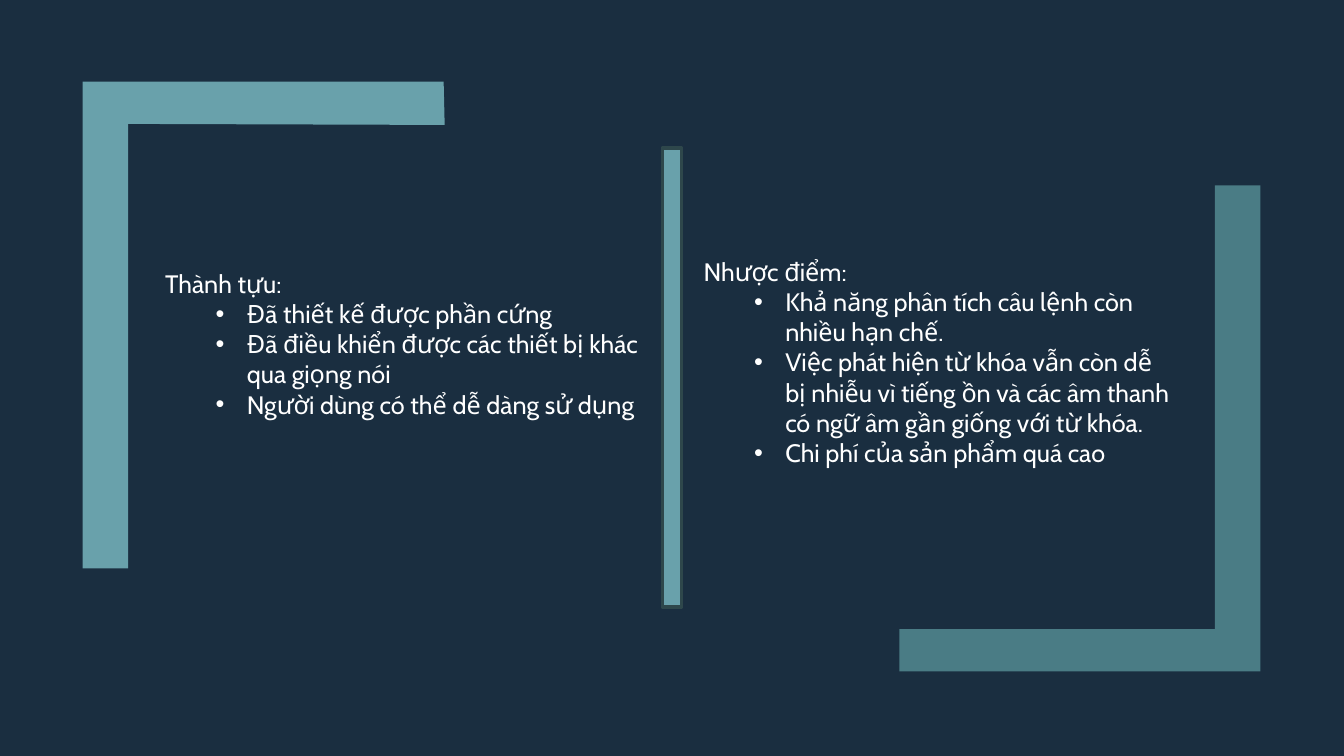
"""Build a slide that sets achievements beside drawbacks between two corner brackets."""
from dataclasses import dataclass

from lxml import etree
from pptx import Presentation
from pptx import util as u
from pptx.dml.color import RGBColor
from pptx.enum import shapes, text
from pptx.oxml.ns import qn

COLORS = {
    "navy": "1A2E40",
    "light_teal": "69A1AB",
    "dark_teal": "4A7C85",
    "outline": "2E474B",
    "white": "FFFFFF",
}
FONT_FORMAT = {"name": "Cabin", "size": u.Pt(18)}
FRAME_FORMAT = {
    "word_wrap": True,
    "auto_size": text.MSO_AUTO_SIZE.SHAPE_TO_FIT_TEXT,
    "vertical_anchor": text.MSO_ANCHOR.TOP,
}
BULLET_FORMAT = {"marL": u.Inches(0.81), "indent": u.Inches(-0.31)}


@dataclass(frozen=True)
class Bracket:
    """An L-shaped corner given by its outline in inches."""
    points: tuple[tuple[float, float], ...]
    color: str


@dataclass(frozen=True)
class Column:
    """A heading with bullet points."""
    left: float
    top: float
    height: float
    heading: str
    points: tuple[str, ...]


BRACKETS = (
    Bracket(((12.05, 1.84), (12.5, 1.84), (12.5, 6.66), (8.92, 6.66),
             (8.92, 6.24), (12.05, 6.24)), "dark_teal"),
    Bracket(((1.27, 5.64), (0.82, 5.64), (0.82, 0.81), (4.4, 0.81),
             (4.41, 1.24), (1.27, 1.23)), "light_teal"),
)
COLUMNS = (
    Column(1.54, 2.61, 1.92, "Thành tựu:", (
        "Đã thiết kế được phần cứng",
        "Đã điều khiển được các thiết bị khác qua giọng nói",
        "Người dùng có thể dễ dàng sử dụng",
    )),
    Column(6.88, 2.49, 2.52, "Nhược điểm:", (
        "Khả năng phân tích câu lệnh còn nhiều hạn chế.",
        "Việc phát hiện từ khóa vẫn còn dễ bị nhiễu vì tiếng ồn và các âm thanh "
        "có ngữ âm gần giống với từ khóa.",
        "Chi phí của sản phẩm quá cao",
    )),
)
COLUMN_WIDTH = 4.89


def set_attributes(target, values: dict) -> None:
    """Set each named attribute on the target."""
    for name, value in values.items():
        setattr(target, name, value)


def paint(fill, color: str) -> None:
    """Give a fill one solid colour."""
    fill.solid()
    fill.fore_color.rgb = RGBColor.from_string(COLORS[color])


def draw_bracket(slide, bracket: Bracket) -> None:
    """Draw a corner bracket."""
    start, *rest = [(u.Inches(x), u.Inches(y)) for x, y in bracket.points]
    builder = slide.shapes.build_freeform(*start)
    builder.add_line_segments(rest, close=True)
    shape = builder.convert_to_shape()
    shape.shadow.inherit = False
    paint(shape.fill, bracket.color)
    shape.line.fill.background()


def draw_divider(slide) -> None:
    """Draw the outlined bar between the columns."""
    position = [u.Inches(value) for value in (6.57, 1.47, 0.19, 4.55)]
    shape = slide.shapes.add_shape(shapes.MSO_SHAPE.RECTANGLE, *position)
    shape.shadow.inherit = False
    paint(shape.fill, "light_teal")
    paint(shape.line.fill, "outline")
    shape.line.width = u.Pt(2.75)


def add_bullet(paragraph) -> None:
    """Indent a paragraph and give it a round bullet."""
    paragraph.level = 1
    properties = paragraph._p.get_or_add_pPr()
    for name, value in BULLET_FORMAT.items():
        properties.set(name, str(value))
    etree.SubElement(properties, qn("a:buFont"), typeface="Arial")
    etree.SubElement(properties, qn("a:buChar"), char="•")


def draw_column(slide, column: Column) -> None:
    """Write a heading and its bullet points."""
    position = (column.left, column.top, COLUMN_WIDTH, column.height)
    frame = slide.shapes.add_textbox(*map(u.Inches, position)).text_frame
    set_attributes(frame, FRAME_FORMAT)
    for index, content in enumerate((column.heading, *column.points)):
        paragraph = frame.add_paragraph() if index else frame.paragraphs[0]
        if index:
            add_bullet(paragraph)
        font = paragraph.add_run().font
        paragraph.runs[0].text = content
        set_attributes(font, FONT_FORMAT)
        paint(font.fill, "white")


def main() -> None:
    """Build and save the presentation."""
    presentation = Presentation()
    set_attributes(presentation, {"slide_width": u.Inches(13.33), "slide_height": u.Inches(7.5)})
    slide = presentation.slides.add_slide(presentation.slide_layouts[6])
    paint(slide.background.fill, "navy")
    for bracket in BRACKETS:
        draw_bracket(slide, bracket)
    draw_divider(slide)
    for column in COLUMNS:
        draw_column(slide, column)
    presentation.save("out.pptx")


if __name__ == "__main__":
    main()
